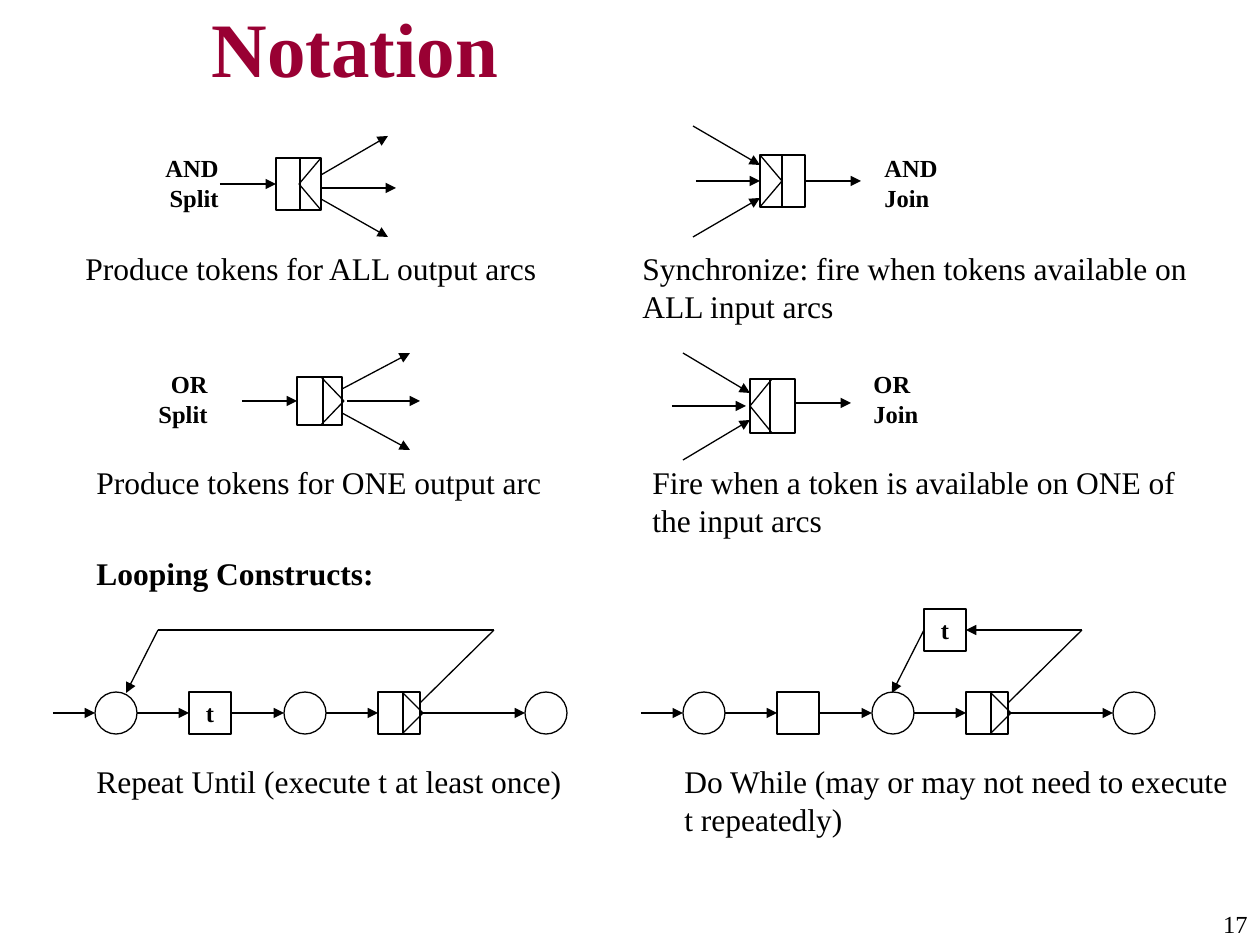
import pptx
import pptx.util
import pptx.dml.color
import pptx.enum.shapes
import pptx.enum.text
import pptx.oxml.ns
from lxml import etree

PX = 914400 / 126
BLACK = pptx.dml.color.RGBColor(0x00, 0x00, 0x00)
MAROON = pptx.dml.color.RGBColor(0x99, 0x00, 0x33)
LEFT = pptx.enum.text.PP_ALIGN.LEFT
RIGHT = pptx.enum.text.PP_ALIGN.RIGHT
CENTER = pptx.enum.text.PP_ALIGN.CENTER
MIDDLE = pptx.enum.text.MSO_ANCHOR.MIDDLE
RECT = pptx.enum.shapes.MSO_SHAPE.RECTANGLE
OVAL = pptx.enum.shapes.MSO_SHAPE.OVAL
STRAIGHT = pptx.enum.shapes.MSO_CONNECTOR.STRAIGHT
SITE_LEFT, SITE_RIGHT = 1, 3
NODE = 42  # side of a loop node
ROW_TOP, ROW_MID, RETURN_Y = 692, 713, 630

TITLE = {"size": pptx.util.Pt(44), "bold": True, "color": MAROON}
LABEL = {"size": pptx.util.Pt(14), "bold": True, "color": BLACK}
BODY = {"size": pptx.util.Pt(18), "bold": False, "color": BLACK}
HEADING = {**BODY, "bold": True}
NUMBER = {**LABEL, "bold": False}

TEXTS = [
    ("AND Split", 136, 147, 95, 72, LABEL, RIGHT),
    ("AND Join", 872, 147, 95, 72, LABEL, LEFT),
    ("OR Split", 136, 363, 84, 72, LABEL, RIGHT),
    ("OR Join", 861, 363, 95, 72, LABEL, LEFT),
    ("Produce tokens for ALL output arcs", 73, 243, 525, 50, BODY, LEFT),
    ("Synchronize: fire when tokens available on ALL input arcs",
     630, 243, 577, 88, BODY, LEFT),
    ("Produce tokens for ONE output arc", 84, 457, 525, 50, BODY, LEFT),
    ("Fire when a token is available on ONE of the input arcs",
     640, 457, 577, 88, BODY, LEFT),
    ("Looping Constructs:", 84, 548, 525, 50, HEADING, LEFT),
    ("Repeat Until (execute t at least once)", 84, 756, 525, 50, BODY, LEFT),
    ("Do While (may or may not need to execute t repeatedly)",
     672, 756, 577, 88, BODY, LEFT),
    ("17", 1081, 903, 179, 42, NUMBER, RIGHT),
]


def emu(*lengths):
    return [round(n * PX) for n in lengths]


def write(tf, text, fmt, align):
    p = tf.paragraphs[0]
    p.alignment = align
    r = p.add_run()
    r.text = text
    r.font.name = "Times New Roman"
    for name, value in fmt.items():
        if name == "color":
            r.font.color.rgb = value
        else:
            setattr(r.font, name, value)


def add_title(s, text):
    sp = s.shapes.title
    sp.left, sp.top, sp.width, sp.height = emu(199, 10, 1061, 73)
    tf = sp.text_frame
    tf.auto_size = pptx.enum.text.MSO_AUTO_SIZE.NONE
    tf.vertical_anchor = MIDDLE
    write(tf, text, TITLE, LEFT)


def add_text(s, text, x, y, w, h, fmt, align):
    tf = s.shapes.add_textbox(*emu(x, y, w, h)).text_frame
    tf.word_wrap = True
    write(tf, text, fmt, align)


def add_node(s, kind, x, y, w=NODE, h=NODE, text=""):
    sp = s.shapes.add_shape(kind, *emu(x, y, w, h))
    sp.shadow.inherit = False
    sp.fill.background()
    sp.line.color.rgb = BLACK
    sp.line.width = pptx.util.Pt(0.75)
    if text:
        tf = sp.text_frame
        for side in ("left", "top", "right", "bottom"):
            setattr(tf, f"margin_{side}", 0)
        tf.vertical_anchor = MIDDLE
        write(tf, text, LABEL, CENTER)
    return sp


def add_line(s, x1, y1, x2, y2, arrow=False, begin=None, end=None):
    """Draw a line; begin and end are optional (shape, site) pairs to join."""
    c = s.shapes.add_connector(STRAIGHT, *emu(x1, y1, x2, y2))
    c.line.color.rgb = BLACK
    c.line.width = pptx.util.Pt(0.75)
    qn = pptx.oxml.ns.qn
    if arrow:
        etree.SubElement(c.get_or_add_ln(), qn("a:tailEnd"), type="triangle")
    etree.SubElement(c._element.spPr, qn("a:effectLst"))
    if begin:
        c.begin_connect(*begin)
    if end:
        c.end_connect(*end)


def add_gate(s, x, y, w, h, bar, base, tip):
    """Draw a transition box with a bar and a chevron, offset from its left."""
    sp = add_node(s, RECT, x, y, w, h)
    add_line(s, x + bar, y, x + bar, y + h)
    for corner in (y, y + h):
        add_line(s, x + base, corner, x + tip, y + h / 2)
    return sp


def add_splits_and_joins(s):
    and_split = add_gate(s, 276, 158, 45, 52, bar=24, base=45, tip=23)
    or_split = add_gate(s, 297, 377, 45, 48, bar=26, base=24, tip=47)
    and_join = add_gate(s, 760, 155, 45, 52, bar=22, base=0, tip=22)
    add_gate(s, 750, 379, 45, 54, bar=20, base=22, tip=0)

    add_line(s, 220, 184, 276, 184, True, end=(and_split, SITE_LEFT))
    add_line(s, 242, 401, 297, 401, True, end=(or_split, SITE_LEFT))
    add_line(s, 696, 181, 760, 181, True, end=(and_join, SITE_LEFT))
    add_line(s, 805, 181, 861, 181, True, begin=(and_join, SITE_RIGHT))
    for points in [
        (321, 175, 388, 136), (322, 188, 396, 188), (321, 199, 388, 237),
        (342, 389, 410, 353), (347, 401, 420, 401), (342, 413, 410, 450),
        (693, 126, 760, 165), (693, 237, 760, 198),
        (683, 353, 750, 393), (672, 406, 746, 406), (683, 460, 750, 420),
        (795, 403, 851, 403),
    ]:
        add_line(s, *points, arrow=True)


def add_loop_row(s, x, text=""):
    """Draw place, task, place, gate and final place, starting at x."""
    task_x, place_x, gate_x, final_x = x + 94, x + 189, x + 283, x + 430
    for left in (x, place_x, final_x):
        add_node(s, OVAL, left, ROW_TOP)
    task = add_node(s, RECT, task_x, ROW_TOP, text=text)
    gate = add_gate(s, gate_x, ROW_TOP, NODE, NODE, bar=25, base=24, tip=45)
    for start, stop, begin, end in [
        (x - 42, x, None, None),
        (x + NODE, task_x, None, (task, SITE_LEFT)),
        (task_x + NODE, place_x, (task, SITE_RIGHT), None),
        (place_x + NODE, gate_x, None, (gate, SITE_LEFT)),
        (gate_x + NODE, final_x, (gate, SITE_RIGHT), None),
    ]:
        add_line(s, start, ROW_MID, stop, ROW_MID, True, begin, end)
    add_line(s, gate_x + NODE, 703, x + 399, RETURN_Y)


def add_loops(s):
    add_loop_row(s, 95, "t")
    add_line(s, 494, RETURN_Y, 158, RETURN_Y)
    add_line(s, 158, RETURN_Y, 126, 693, True)

    add_loop_row(s, 683)
    task = add_node(s, RECT, 924, 609, text="t")
    add_line(s, 1082, RETURN_Y, 966, RETURN_Y, True, end=(task, SITE_RIGHT))
    add_line(s, 924, RETURN_Y, 892, 693, True, begin=(task, SITE_LEFT))


def main():
    prs = pptx.Presentation()
    prs.slide_width, prs.slide_height = emu(1260, 945)
    s = prs.slides.add_slide(prs.slide_layouts[5])
    add_title(s, "Notation")
    add_splits_and_joins(s)
    add_loops(s)
    for item in TEXTS:
        add_text(s, *item)
    prs.save("out.pptx")


if __name__ == "__main__":
    main()
